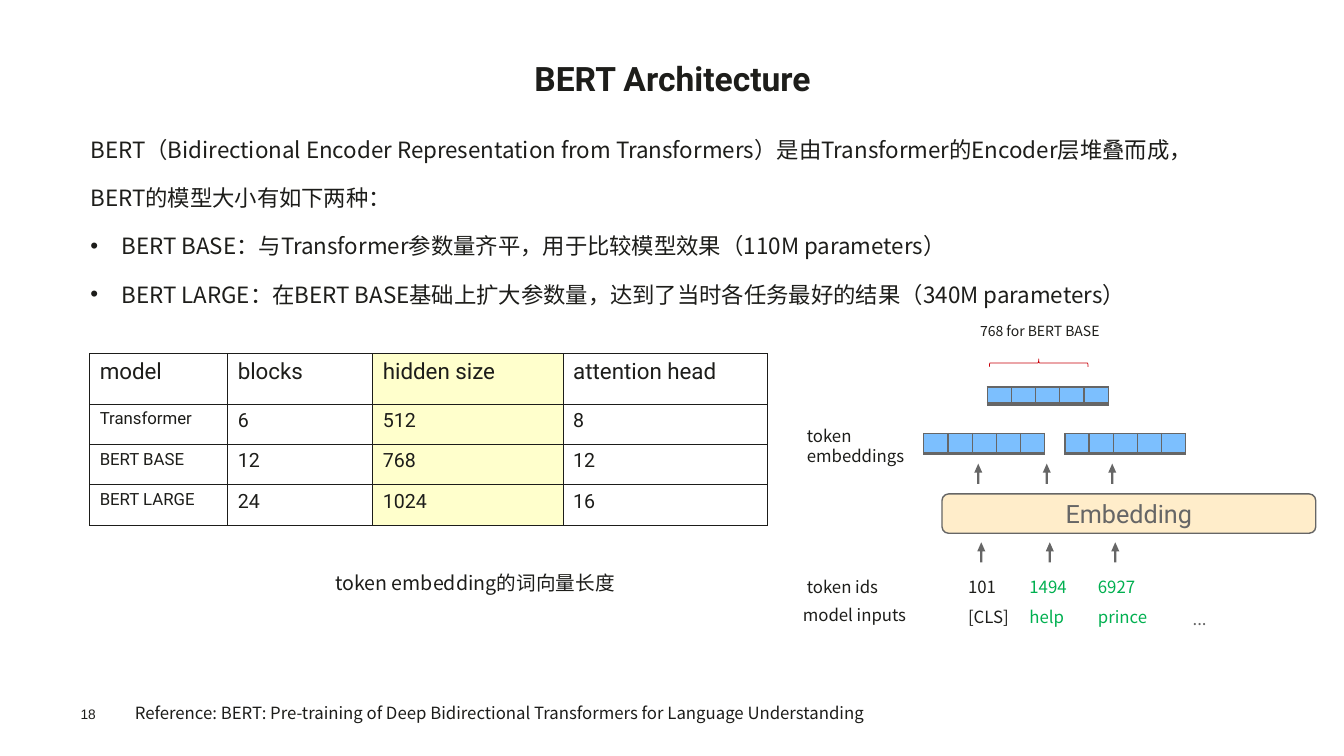
from dataclasses import dataclass

import pptx
import pptx.dml.color
import pptx.enum.shapes
import pptx.enum.text
import pptx.oxml.ns
import pptx.util
from lxml import etree

SCALE = 9144  # EMU in one px, 100 px to the inch
COLORS = {"ink": "1D1D1A", "page": "1D1D1B", "gray": "666666", "green": "00B050",
          "red": "C7000A", "blue": "7CBFFE", "cream": "FFEDCA", "yellow": "FFFFCC"}
NOTO, ROBOTO, ARIAL = "Noto Sans CJK SC", "Roboto", "Arial"
SHAPES = pptx.enum.shapes.MSO_SHAPE
CENTER = pptx.enum.text.PP_ALIGN.CENTER


@dataclass
class Label:
    lines: list[str]
    box: tuple[int, int, int, int]
    size: float = 12
    color: str = "ink"
    font: str = NOTO
    bold: bool = False
    center: bool = False
    pitch: float | None = None
    inset: bool = True
    dots: int | None = None  # first bulleted line


@dataclass
class Arrow:
    left: int
    top: int


@dataclass
class Strip:
    left: int
    top: int
    height: int


LABELS = [
    Label(["BERT Architecture"], (80, 50, 1175, 44), 24, font=ROBOTO, bold=True,
          center=True, pitch=34.3, inset=False),
    Label(["BERT（Bidirectional Encoder Representation from Transformers）是由Transformer的Encoder层堆叠而成，BERT的模型大小有如下两种：",
           "BERT BASE：与Transformer参数量齐平，用于比较模型效果（110M parameters）",
           "BERT LARGE：在BERT BASE基础上扩大参数量，达到了当时各任务最好的结果（340M parameters）"],
          (80, 109, 1157, 203), 16, pitch=34.4, dots=1),
    Label(["token embedding的词向量长度"], (323, 537, 303, 58), 14, pitch=34.4),
    Label(["768 for BERT BASE"], (963, 315, 148, 27), 10),
    Label(["token embeddings"], (791, 417, 129, 52)),
    Label(["token ids"], (791, 567, 129, 20)),
    Label(["model inputs"], (787, 595, 129, 20)),
    Label(["..."], (1174, 599, 110, 20), color="gray"),
    Label(["18"], (80, 700, 55, 16), 9.8, "page", ARIAL, inset=False),
    Label(["Reference: BERT: Pre-training of Deep Bidirectional Transformers for Language Understanding"],
          (124, 692, 827, 32)),
]
TOKENS = [("101", "[CLS]", 951, 61, "ink"), ("1494", "help", 1012, 60, "green"),
          ("6927", "prince", 1080, 73, "green")]
for code, word, left, width, color in TOKENS:
    LABELS += [Label([code], (left, 567, width, 20), color=color),
               Label([word], (left, 597, width, 20), color=color)]

ARROWS = [Arrow(start + step, top) for start, top in ((967, 460), (970, 538))
          for step in (0, 68, 133)]
STRIPS = [Strip(980, 384, 17), Strip(917, 430, 20), Strip(1057, 430, 20)]
MODELS = [("model", "blocks", "hidden size", "attention head"),
          ("Transformer", "6", "512", "8"),
          ("BERT BASE", "12", "768", "12"),
          ("BERT LARGE", "24", "1024", "16")]


def px(*sizes: int) -> list[pptx.util.Emu]:
    return [pptx.util.Emu(size * SCALE) for size in sizes]


def rgb(name: str) -> pptx.dml.color.RGBColor:
    return pptx.dml.color.RGBColor.from_string(COLORS[name])


def add_node(base, tag: str, **attrs: str):
    node = etree.SubElement(base, pptx.oxml.ns.qn(tag))
    for key, value in attrs.items():
        node.set(key, value)
    return node


def add_run(para, text: str, size: float, color: str, font: str, bold: bool = False) -> None:
    run = para.add_run()
    run.text = text
    run.font.size = pptx.util.Pt(size)
    run.font.bold = bold
    run.font.color.rgb = rgb(color)
    run.font.name = font
    add_node(run.font._element, "a:ea", typeface=NOTO)


def add_label(slide, label: Label) -> None:
    frame = slide.shapes.add_textbox(*px(*label.box)).text_frame
    frame.word_wrap = True
    if not label.inset:
        frame.margin_left = frame.margin_right = frame.margin_top = frame.margin_bottom = 0
    for index, line in enumerate(label.lines):
        para = frame.add_paragraph() if index else frame.paragraphs[0]
        if label.dots is not None and index >= label.dots:
            props = para._p.get_or_add_pPr()
            props.set("marL", str(31 * SCALE))
            props.set("indent", str(-31 * SCALE))
            add_node(props, "a:buFont", typeface=ARIAL)
            add_node(props, "a:buChar", char="•")
        if label.center:
            para.alignment = CENTER
        if label.pitch:
            para.line_spacing = pptx.util.Pt(label.pitch)
        add_run(para, line, label.size, label.color, label.font, label.bold)


def add_shape(slide, kind, box: tuple[int, int, int, int], fill: str | None = None,
              line: str | None = None, weight: float = 1):
    shape = slide.shapes.add_shape(kind, *px(*box))
    shape.shadow.inherit = False
    if fill:
        shape.fill.solid()
        shape.fill.fore_color.rgb = rgb(fill)
    else:
        shape.fill.background()
    if line:
        shape.line.color.rgb = rgb(line)
        shape.line.width = pptx.util.Pt(weight)
    else:
        shape.line.fill.background()
    return shape


def style_cell(cell, fill: str | None, line: str, base: float = 1) -> None:
    """Give a cell its four borders, with the bottom one base points wide."""
    props = cell._tc.get_or_add_tcPr()
    for side in "LRTB":
        width = pptx.util.Pt(base if side == "B" else 1)
        edge = add_node(props, f"a:ln{side}", w=str(width))
        add_node(add_node(edge, "a:solidFill"), "a:srgbClr", val=COLORS[line])
    if fill:
        cell.fill.solid()
        cell.fill.fore_color.rgb = rgb(fill)
    else:
        cell.fill.background()


def add_grid(slide, left: int, top: int, cols: list[int], rows: list[int]):
    box = px(left, top, sum(cols), sum(rows))
    table = slide.shapes.add_table(len(rows), len(cols), *box).table
    table.first_row = table.horz_banding = False
    for col, width in zip(table.columns, px(*cols)):
        col.width = width
    for row, height in zip(table.rows, px(*rows)):
        row.height = height
    return table


def add_models(slide) -> None:
    table = add_grid(slide, 89, 351, [137, 144, 189, 203], [50, 40, 40, 40])
    for r, words in enumerate(MODELS):
        for c, word in enumerate(words):
            cell = table.cell(r, c)
            size = 16 if r == 0 else 12 if c == 0 else 14
            add_run(cell.text_frame.paragraphs[0], word, size, "ink", ROBOTO)
            style_cell(cell, "yellow" if c == 2 else None, "ink")


def add_strip(slide, strip: Strip) -> None:
    table = add_grid(slide, strip.left, strip.top, [24] * 5, [strip.height])
    for cell in table.iter_cells():
        cell.margin_left = cell.margin_right = cell.margin_top = cell.margin_bottom = 0
        add_node(cell.text_frame.paragraphs[0]._p, "a:endParaRPr", sz="400")
        style_cell(cell, "blue", "gray", 3)


def main() -> None:
    deck = pptx.Presentation()
    deck.slide_width, deck.slide_height = px(1334, 750)
    slide = deck.slides.add_slide(deck.slide_layouts[6])
    add_models(slide)
    layer = add_shape(slide, SHAPES.ROUNDED_RECTANGLE, (935, 490, 371, 39), "cream", "gray")
    layer.text_frame.vertical_anchor = pptx.enum.text.MSO_ANCHOR.MIDDLE
    para = layer.text_frame.paragraphs[0]
    para.alignment = CENTER
    add_run(para, "Embedding", 18, "gray", ROBOTO)
    for arrow in ARROWS:
        shape = add_shape(slide, SHAPES.UP_ARROW, (arrow.left, arrow.top, 8, 20), "gray")
        shape.adjustments[0], shape.adjustments[1] = 0.28, 1.13
    for strip in STRIPS:
        add_strip(slide, strip)
    brace = add_shape(slide, SHAPES.RIGHT_BRACE, (1027, 311, 8, 98), line="red", weight=0.5)
    brace.rotation = 270
    for label in LABELS:
        add_label(slide, label)
    deck.save("out.pptx")


if __name__ == "__main__":
    main()
